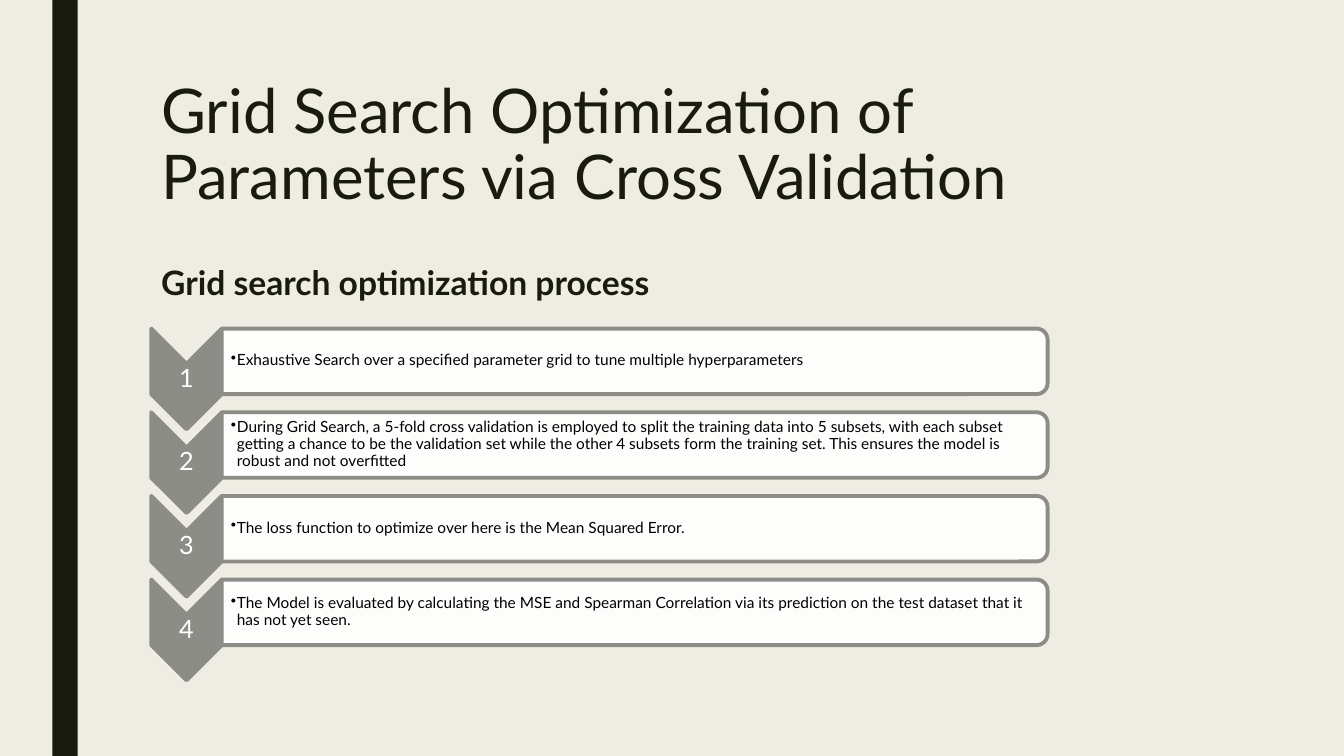
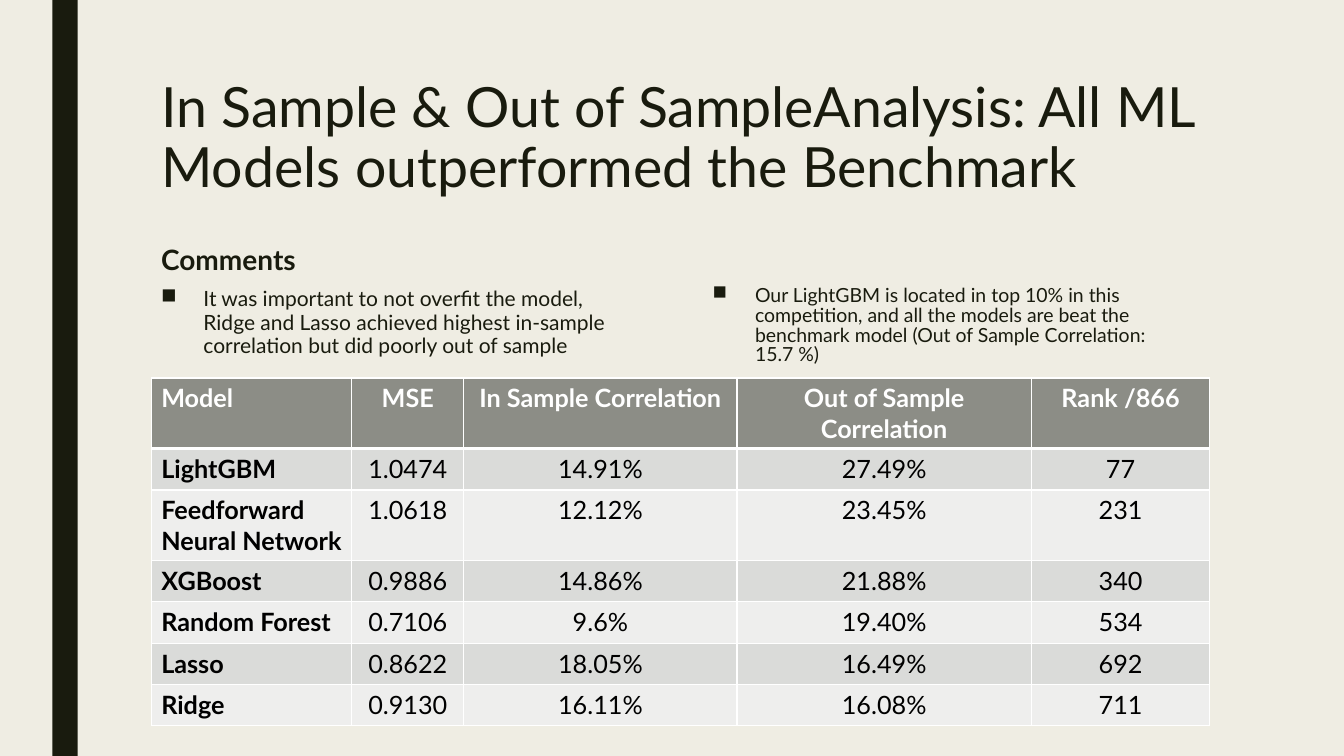
from lxml import etree
from pptx import Presentation
from pptx import util as u
from pptx.dml import color
from pptx.enum import shapes, text
from pptx.oxml import ns

FONT = "Lato"
INK, PAPER, GRAY, WHITE, BLACK = "191B0E", "EFEDE3", "8C8D86", "FFFFFF", "000000"
BANDING = ("EEEEED", "DADBD9")
LEFT, CENTER = text.PP_ALIGN.LEFT, text.PP_ALIGN.CENTER
TOP, MIDDLE = text.MSO_ANCHOR.TOP, text.MSO_ANCHOR.MIDDLE
STEP_INSETS = (0.01, 0.01, 0.01, 0.01)
BODY_INSETS = (0.09, 0.01, 0.01, 0.01)

PROCESS_TITLE = "Grid Search Optimization of Parameters via Cross Validation"
PROCESS_HEADING = "Grid search optimization process"
STEPS = [
    "Exhaustive Search over a specified parameter grid to tune multiple hyperparameters",
    "During Grid Search, a 5-fold cross validation is employed to split the training data "
    "into 5 subsets, with each subset getting a chance to be the validation set while the "
    "other 4 subsets form the training set. This ensures the model is robust and not overfitted",
    "The loss function to optimize over here is the Mean Squared Error.",
    "The Model is evaluated by calculating the MSE and Spearman Correlation via its "
    "prediction on the test dataset that it has not yet seen.",
]

RESULTS_TITLE = "In Sample & Out of SampleAnalysis: All ML Models outperformed the Benchmark"
COMMENTS_HEADING = "Comments"
OVERFIT_COMMENT = (
    "It was important to not overfit the model, Ridge and Lasso achieved highest "
    "in-sample correlation but did poorly out of sample"
)
RANK_COMMENT = (
    "Our LightGBM is located in top 10% in this competition, and all the models are beat "
    "the benchmark model (Out of Sample Correlation: 15.7 %)"
)
RESULTS = [
    ("Model", "MSE", "In Sample Correlation", "Out of Sample Correlation", "Rank /866"),
    ("LightGBM", "1.0474", "14.91%", "27.49%", "77"),
    ("Feedforward Neural Network", "1.0618", "12.12%", "23.45%", "231"),
    ("XGBoost", "0.9886", "14.86%", "21.88%", "340"),
    ("Random Forest", "0.7106", "9.6%", "19.40%", "534"),
    ("Lasso", "0.8622", "18.05%", "16.49%", "692"),
    ("Ridge", "0.9130", "16.11%", "16.08%", "711"),
]
COLUMN_WIDTHS = (1.99, 1.11, 2.71, 2.92, 1.77)
ROW_HEIGHT = 0.41


def rgb(value):
    return color.RGBColor.from_string(value)


def box(*lengths):
    return [u.Inches(length) for length in lengths]


def child(parent, tag, **attributes):
    return etree.SubElement(parent, ns.qn(tag), attributes)


def write(frame, words, size, ink=INK, bold=False, align=LEFT, spacing=1.0,
          before=0, after=0, bullet=None, indent=0.42, new=False):
    paragraph = frame.add_paragraph() if new else frame.paragraphs[0]
    paragraph.alignment = align
    paragraph.line_spacing = spacing
    paragraph.space_before = u.Pt(before)
    paragraph.space_after = u.Pt(after)
    run = paragraph.add_run()
    run.text = words
    run.font.name = FONT
    run.font.size = u.Pt(size)
    run.font.bold = bold
    run.font.color.rgb = rgb(ink)
    if bullet:
        properties = paragraph._p.get_or_add_pPr()
        properties.set("marL", str(u.Inches(indent)))
        properties.set("indent", str(-u.Inches(indent)))
        child(properties, "a:buChar", char=bullet)


def frame_setup(frame, anchor=TOP, insets=(0.1, 0.05, 0.1, 0.05)):
    frame.word_wrap = True
    frame.auto_size = text.MSO_AUTO_SIZE.NONE
    frame.vertical_anchor = anchor
    (frame.margin_left, frame.margin_top,
     frame.margin_right, frame.margin_bottom) = box(*insets)
    return frame


def text_area(slide, place, **setup):
    return frame_setup(slide.shapes.add_textbox(*box(*place)).text_frame, **setup)


def solid(slide, preset, place, fill, outline=None, rotation=0, opacity=None):
    shape = slide.shapes.add_shape(preset, *box(*place))
    shape.shadow.inherit = False
    shape.rotation = rotation
    shape.fill.solid()
    shape.fill.fore_color.rgb = rgb(fill)
    if outline:
        shape.line.color.rgb = rgb(outline)
        shape.line.width = u.Pt(2.75)
    else:
        shape.line.fill.background()
    if opacity:
        fill_color = shape.element.spPr.find(".//" + ns.qn("a:srgbClr"))
        child(fill_color, "a:alpha", val=str(opacity * 1000))
    return shape


def upright(left, top, width, height):
    return (left + (width - height) / 2, top + (height - width) / 2, height, width)


def titled_slide(deck, words, size):
    slide = deck.slides.add_slide(deck.slide_layouts[5])
    title = slide.shapes.title
    title.left, title.top, title.width, title.height = box(1.5, 0.75, 10.5, 1.62)
    write(frame_setup(title.text_frame), words, size, spacing=0.89)
    solid(slide, shapes.MSO_SHAPE.RECTANGLE, (0.52, 0, 0.25, 7.5), INK)
    return slide


def process_slide(deck):
    slide = titled_slide(deck, PROCESS_TITLE, 44)
    left, first_top, pitch = 1.5, 3.26, 0.83
    step_width, step_height, body_width, body_height = 0.7, 1, 8.19, 0.65
    body_left = left + step_width
    for index, words in enumerate(STEPS):
        top = first_top + index * pitch
        solid(slide, shapes.MSO_SHAPE.CHEVRON,
              upright(left, top, step_width, step_height), GRAY, GRAY, 90)
        number = text_area(slide, (left, top + 0.35, step_width, 0.3),
                           anchor=MIDDLE, insets=STEP_INSETS)
        write(number, str(index + 1), 18, WHITE, align=CENTER, spacing=0.9)
        solid(slide, shapes.MSO_SHAPE.ROUND_2_SAME_RECTANGLE,
              upright(body_left, top, body_width, body_height), WHITE, GRAY, 90, 90)
        body = text_area(slide, (body_left, top + 0.03, 8.16, 0.58),
                         anchor=MIDDLE, insets=BODY_INSETS)
        write(body, words, 11, BLACK, spacing=0.9, bullet="•", indent=0.06)
    heading = text_area(slide, (left, 2.58, 8.74, 0.48))
    write(heading, PROCESS_HEADING, 24, bold=True, spacing=0.94, after=2)


def edge(cell, side, width):
    line = child(cell._tc.get_or_add_tcPr(), "a:ln" + side, w=str(u.Pt(width)))
    child(child(line, "a:solidFill"), "a:srgbClr", val=WHITE)


def results_slide(deck):
    slide = titled_slide(deck, RESULTS_TITLE, 39.6)
    place = box(1.5, 3.75, sum(COLUMN_WIDTHS), ROW_HEIGHT * len(RESULTS))
    table = slide.shapes.add_table(len(RESULTS), len(COLUMN_WIDTHS), *place).table
    for column, width in zip(table.columns, COLUMN_WIDTHS):
        column.width = u.Inches(width)
    for row, values in enumerate(RESULTS):
        header = row == 0
        table.rows[row].height = u.Inches(ROW_HEIGHT)
        for column, value in enumerate(values):
            cell = table.cell(row, column)
            edge(cell, "L", 1)
            edge(cell, "R", 1)
            if header:
                edge(cell, "T", 1)
            edge(cell, "B", 3 if header else 1)
            cell.fill.solid()
            cell.fill.fore_color.rgb = rgb(GRAY if header else BANDING[row % 2])
            write(cell.text_frame, value, 18, WHITE if header else BLACK,
                  bold=header or column == 0, align=CENTER if column else LEFT)
    comments = text_area(slide, (1.5, 2.38, 4.86, 1.27))
    write(comments, COMMENTS_HEADING, 20, bold=True, spacing=0.94, after=2)
    write(comments, OVERFIT_COMMENT, 15, spacing=0.94, before=6, after=2,
          bullet="■", new=True)
    ranking = text_area(slide, (6.97, 2.8, 4.86, 0.9))
    write(ranking, RANK_COMMENT, 13.9, spacing=0.84, after=2, bullet="■")


def main():
    deck = Presentation()
    deck.slide_width, deck.slide_height = box(13.33, 7.5)
    backdrop = deck.slide_master.background.fill
    backdrop.solid()
    backdrop.fore_color.rgb = rgb(PAPER)
    process_slide(deck)
    results_slide(deck)
    deck.save("out.pptx")


if __name__ == "__main__":
    main()
